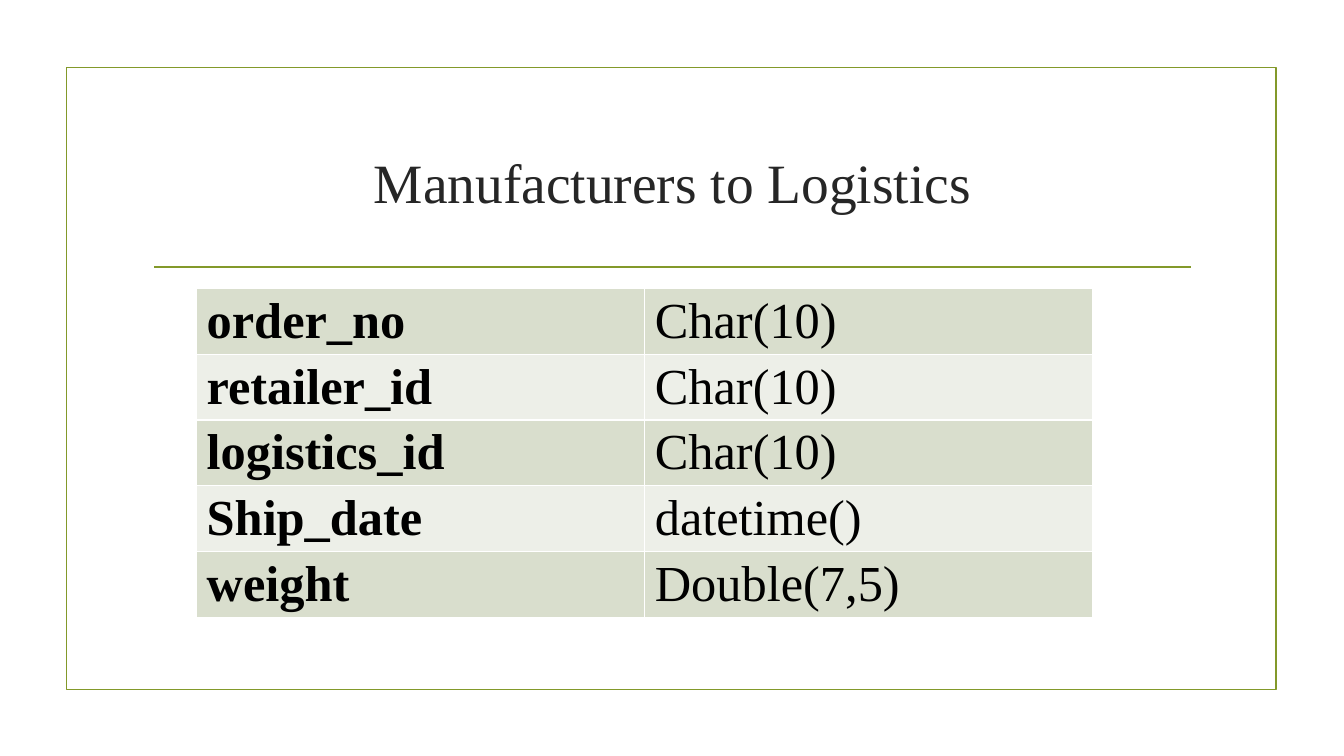
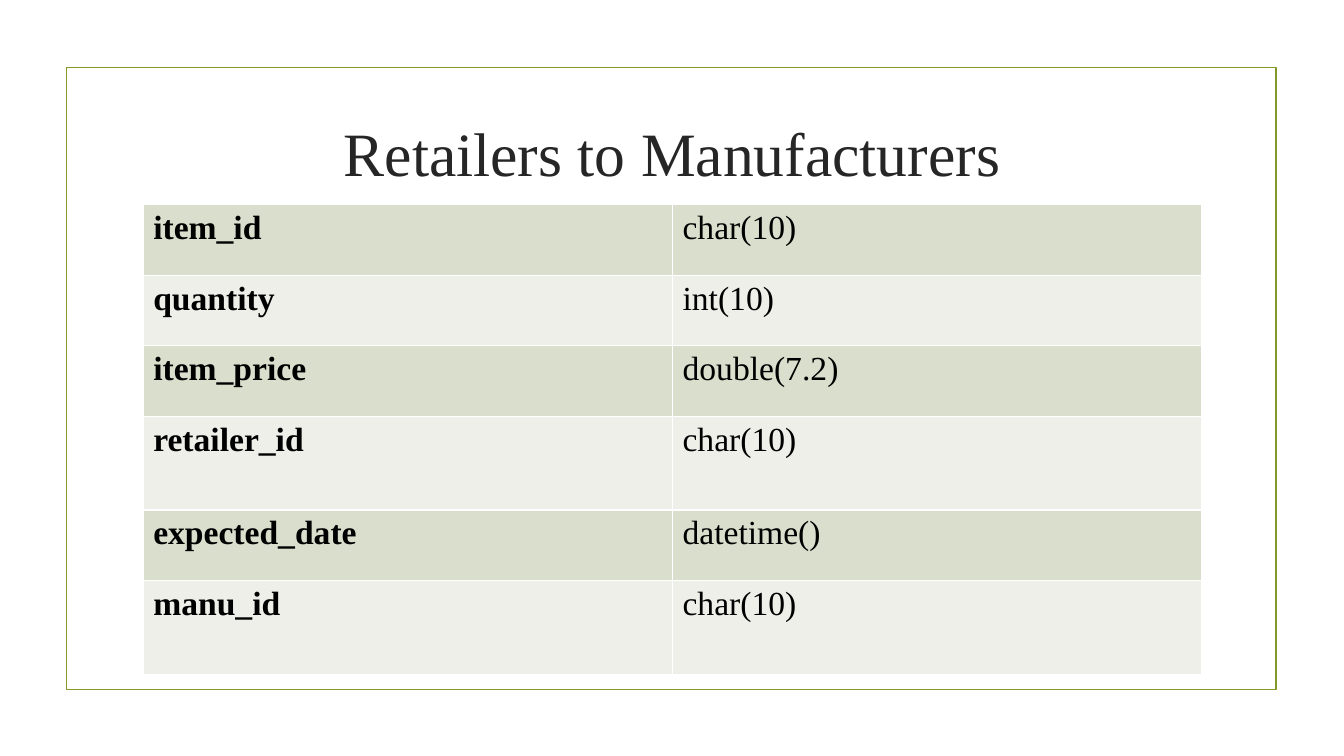
from dataclasses import dataclass

from lxml.etree import SubElement
from pptx import Presentation
from pptx.dml.color import RGBColor as RGB
from pptx.enum.shapes import MSO_CONNECTOR as Connector, MSO_SHAPE as Shape
from pptx.enum.text import MSO_ANCHOR as Anchor, MSO_AUTO_SIZE as AutoSize, PP_ALIGN as Align
from pptx.oxml.ns import qn
from pptx.util import Inches, Pt


@dataclass(frozen=True)
class Theme:
    font: str = "Times New Roman"
    accent: RGB = RGB.from_string("83992A")
    title: RGB = RGB.from_string("262626")
    text: RGB = RGB.from_string("000000")
    bands: tuple = (RGB.from_string("D9DECD"), RGB.from_string("EDEFE8"))
    line_width: float = 1.25


THEME = Theme()
FRAME_BOX = (0.66, 0.67, 12, 6.17)
RULE_BOX = (1.53, 2.65, 10.28, 0)
TITLE_ONLY = 5

SCHEMAS = [
    dict(
        title="Manufacturers to Logistics", title_size=39.6,
        title_box=(1.42, 0.77, 10.5, 1.43), title_drop=0.63,
        table_box=(1.95, 2.86, 8.89), text_size=36,
        row_heights=[0.65] * 5,
        fields=[
            ("order_no", "Char(10)"),
            ("retailer_id", "Char(10)"),
            ("logistics_id", "Char(10)"),
            ("Ship_date", "datetime()"),
            ("weight", "Double(7,5)"),
        ],
    ),
    dict(
        title="Retailers to Manufacturers", title_size=44,
        title_box=(1.42, 0.79, 10.5, 1.43), title_drop=0,
        table_box=(1.42, 2.03, 10.5), text_size=24,
        row_heights=[0.7, 0.7, 0.7, 0.93, 0.7, 0.93],
        fields=[
            ("item_id", "char(10)"),
            ("quantity", "int(10)"),
            ("item_price", "double(7.2)"),
            ("retailer_id", "char(10)"),
            ("expected_date", "datetime()"),
            ("manu_id", "char(10)"),
        ],
    ),
]


def style_font(font, size, color, bold=False):
    font.name, font.size, font.bold = THEME.font, Pt(size), bold
    font.color.rgb = color


def style_line(line):
    line.color.rgb = THEME.accent
    line.width = Pt(THEME.line_width)


def add_frame(slide, frame_box, rule_box):
    """Border around the page and the rule below the title."""
    frame = slide.shapes.add_shape(Shape.RECTANGLE, *map(Inches, frame_box))
    frame.shadow.inherit = False
    frame.fill.background()
    style_line(frame.line)

    left, top, width, height = rule_box
    rule = slide.shapes.add_connector(
        Connector.STRAIGHT, *map(Inches, (left, top, left + width, top + height)))
    style_line(rule.line)
    SubElement(rule.element.spPr, qn("a:effectLst"))


def add_title(slide, box, text, size, drop):
    """Centred title; drop is extra inset above the text."""
    title = slide.shapes.title
    title.left, title.top, title.width, title.height = map(Inches, box)
    frame = title.text_frame
    frame.text = text
    frame.word_wrap = True
    frame.auto_size = AutoSize.NONE
    frame.vertical_anchor = Anchor.MIDDLE
    frame.margin_top = Inches(0.05 + drop)
    heading = frame.paragraphs[0]
    heading.alignment = Align.CENTER
    style_font(heading.font, size, THEME.title)


def add_field_table(slide, box, fields, row_heights, size):
    """Field names in bold beside their types, in banded rows."""
    left, top, width = box
    table = slide.shapes.add_table(
        len(fields), 2, *map(Inches, (left, top, width, sum(row_heights)))).table
    table.first_row = table.horz_banding = False
    for row_no, (field, height) in enumerate(zip(fields, row_heights)):
        table.rows[row_no].height = Inches(height)
        for col_no, text in enumerate(field):
            cell = table.cell(row_no, col_no)
            cell.text = text
            cell.fill.solid()
            cell.fill.fore_color.rgb = THEME.bands[row_no % 2]
            style_font(cell.text_frame.paragraphs[0].font, size, THEME.text,
                       bold=col_no == 0)


def add_schema_slide(deck, schema):
    slide = deck.slides.add_slide(deck.slide_layouts[TITLE_ONLY])
    add_frame(slide, FRAME_BOX, RULE_BOX)
    add_title(slide, schema["title_box"], schema["title"],
              schema["title_size"], schema["title_drop"])
    add_field_table(slide, schema["table_box"], schema["fields"],
                    schema["row_heights"], schema["text_size"])


def main():
    deck = Presentation()
    deck.slide_width, deck.slide_height = Inches(13.33), Inches(7.5)
    for schema in SCHEMAS:
        add_schema_slide(deck, schema)
    deck.save("out.pptx")


if __name__ == "__main__":
    main()
